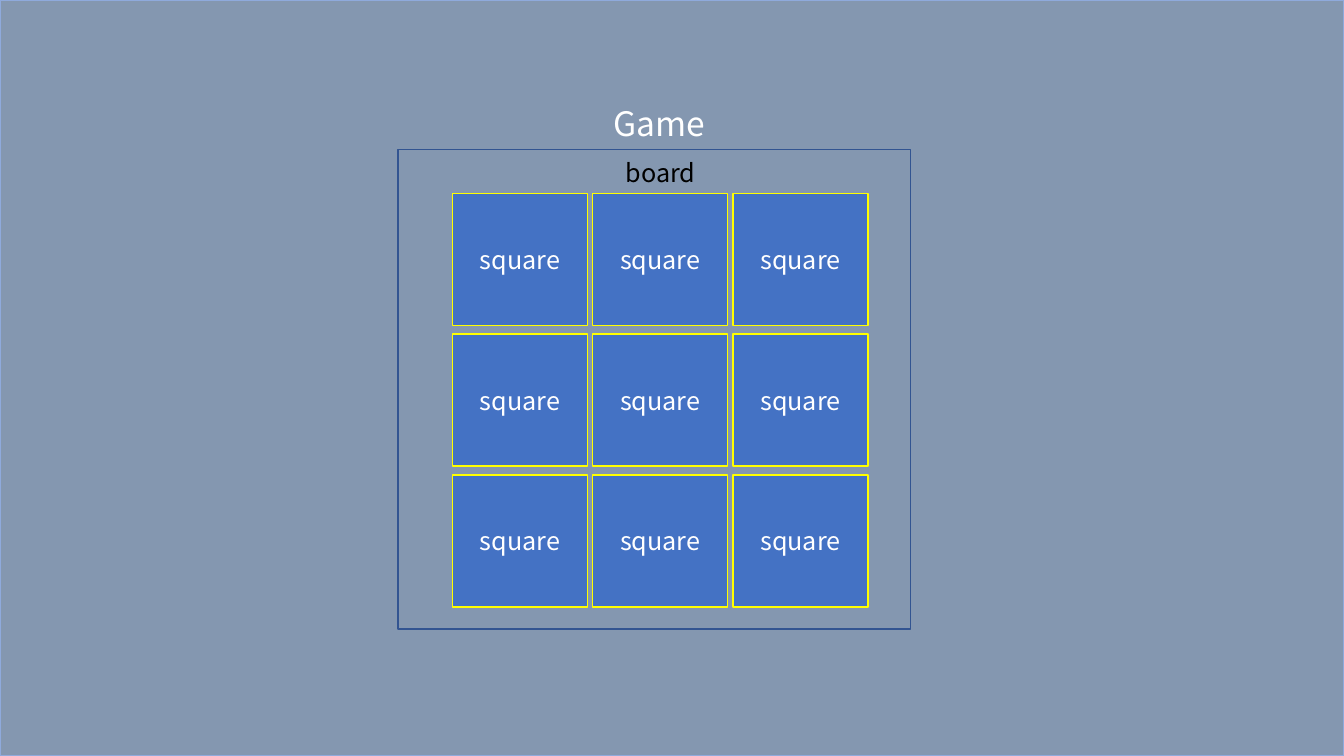
import pptx
import pptx.util
import pptx.dml.color
import pptx.enum.shapes
import pptx.enum.text

Pt = pptx.util.Pt
FONT = "Noto Sans CJK KR"
WIDE, HIGH = 960, 540

PANELS = [
    (0, 0, WIDE, HIGH, "8497B0", "8FAADC"),
    (284.4, 106.6, 365.8, 342.7, "8497B0", "325491"),
]
GRID = [["square"] * 3 for row in range(3)]
LEFT, TOP = 323.3, 138.2
CELL_W, CELL_H = 96.5, 94.3
STEP_X, STEP_Y = 100.1, 100.5
LABELS = [
    ("board", 439.9, 108.7, 97.9, 28.8, 18, "000000"),
    ("Game", 431.3, 69.8, 81.4, 36, 24, "FFFFFF"),
]


def color(code):
    return pptx.dml.color.RGBColor.from_string(code)


def write(shape, text, size, ink):
    para = shape.text_frame.paragraphs[0]
    para.text = text
    para.font.name = FONT
    para.font.size = Pt(size)
    para.font.color.rgb = color(ink)
    return para


def add_box(slide, x, y, w, h, fill, edge):
    kind = pptx.enum.shapes.MSO_SHAPE.RECTANGLE
    box = slide.shapes.add_shape(kind, Pt(x), Pt(y), Pt(w), Pt(h))
    box.shadow.inherit = False
    box.fill.solid()
    box.fill.fore_color.rgb = color(fill)
    box.line.color.rgb = color(edge)
    box.line.width = Pt(1)
    return box


def main():
    deck = pptx.Presentation()
    deck.slide_width, deck.slide_height = Pt(WIDE), Pt(HIGH)
    slide = deck.slides.add_slide(deck.slide_layouts[6])

    for panel in PANELS:
        add_box(slide, *panel)

    for row, names in enumerate(GRID):
        for col, name in enumerate(names):
            x, y = LEFT + col * STEP_X, TOP + row * STEP_Y
            cell = add_box(slide, x, y, CELL_W, CELL_H, "4472C4", "FFFF00")
            cell.text_frame.vertical_anchor = pptx.enum.text.MSO_ANCHOR.MIDDLE
            para = write(cell, name, 18, "FFFFFF")
            para.alignment = pptx.enum.text.PP_ALIGN.CENTER

    for text, x, y, w, h, size, ink in LABELS:
        label = slide.shapes.add_textbox(Pt(x), Pt(y), Pt(w), Pt(h))
        label.text_frame.word_wrap = True
        label.text_frame.auto_size = pptx.enum.text.MSO_AUTO_SIZE.SHAPE_TO_FIT_TEXT
        write(label, text, size, ink)

    deck.save("out.pptx")


if __name__ == "__main__":
    main()
